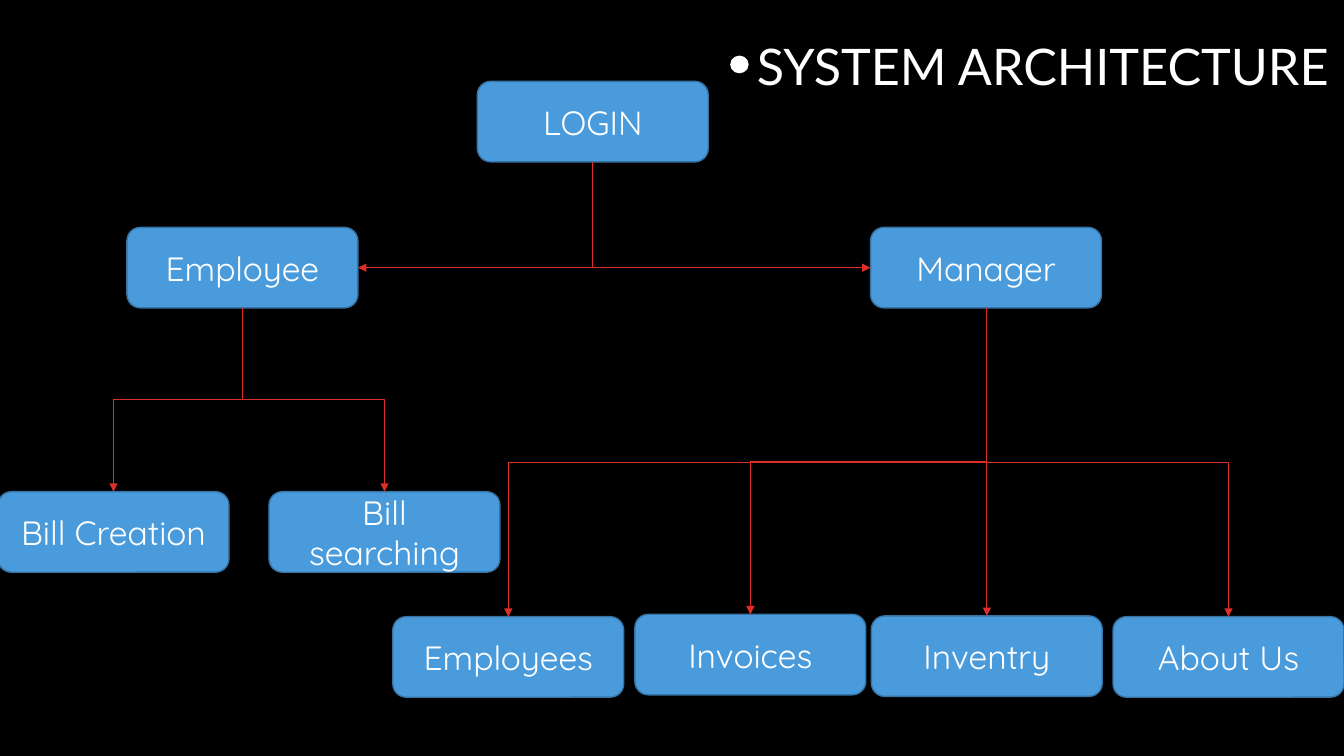
from pptx import Presentation
from pptx.dml.color import RGBColor
from pptx.enum.shapes import MSO_CONNECTOR, MSO_SHAPE
from pptx.enum.text import MSO_ANCHOR, MSO_AUTO_SIZE, PP_ALIGN
from pptx.oxml.ns import qn
from pptx.util import Cm, Pt
from lxml import etree

ELBOW = MSO_CONNECTOR.ELBOW
ROUND_RECT, OVAL = MSO_SHAPE.ROUNDED_RECTANGLE, MSO_SHAPE.OVAL
MIDDLE, TOP = MSO_ANCHOR.MIDDLE, MSO_ANCHOR.TOP
CENTER, LEFT = PP_ALIGN.CENTER, PP_ALIGN.LEFT
NO_FIT = MSO_AUTO_SIZE.NONE
SIDE_TOP, SIDE_LEFT, SIDE_BOTTOM, SIDE_RIGHT = range(4)

BLACK, WHITE, BLUE, NAVY, RED = "000000", "FFFFFF", "4A9BDC", "3773A3", "DF2E28"
NODE_W, NODE_H = 5.82, 2.03
NODE_FONT = {"name": "Quicksand", "size": Pt(24)}
TITLE_FONT = {"name": "Lato", "size": Pt(36), "bold": False}

# name: (left, top) in cm, inside the tree's box
NODES = {
    "LOGIN": (12.03, 0),
    "Employee": (3.2, 3.68),
    "Manager": (21.94, 3.68),
    "Bill Creation": (-0.05, 10.34),
    "Bill searching": (6.78, 10.34),
    "Employees": (9.9, 13.49),
    "Invoices": (16, 13.43),
    "Inventry": (21.96, 13.47),
    "About Us": (28.05, 13.49),
}
# (parent, child, side of the child that the arrow reaches)
LINKS = [
    ("LOGIN", "Employee", SIDE_RIGHT),
    ("LOGIN", "Manager", SIDE_LEFT),
    ("Manager", "About Us", SIDE_TOP),
    ("Manager", "Invoices", SIDE_TOP),
    ("Manager", "Employees", SIDE_TOP),
    ("Employee", "Bill Creation", SIDE_TOP),
    ("Employee", "Bill searching", SIDE_TOP),
    ("Manager", "Inventry", SIDE_TOP),
]


def rgb(color):
    return RGBColor.from_string(color)


def write(tf, text, font, align, anchor):
    tf.word_wrap, tf.vertical_anchor = True, anchor
    p = tf.paragraphs[0]
    p.alignment = align
    r = p.add_run()
    r.text = text
    for key, value in font.items():
        setattr(r.font, key, value)
    r.font.color.rgb = rgb(WHITE)


def add_filled(s, kind, box, fill, line):
    sp = s.shapes.add_shape(kind, *(Cm(v) for v in box))
    sp.shadow.inherit = False
    sp.fill.solid()
    sp.fill.fore_color.rgb = rgb(fill)
    sp.line.color.rgb = rgb(line)
    sp.line.width = Pt(1)
    return sp


def add_link(s, parent, child, side):
    """Elbow arrow that leaves the parent's bottom vertically."""
    cxn = s.shapes.add_connector(ELBOW, 0, 0, 0, 0)
    cxn.begin_connect(parent, SIDE_BOTTOM)
    cxn.end_connect(child, side)
    x1, y1, x2, y2 = cxn.begin_x, cxn.begin_y, cxn.end_x, cxn.end_y
    drop, reach = y2 - y1, abs(x2 - x1)
    # Turn the elbow about its centre so that it starts downwards
    cxn.left, cxn.top = (x1 + x2 - drop) // 2, (y1 + y2 - reach) // 2
    cxn.width, cxn.height = drop, reach
    spPr = cxn._element.spPr
    xfrm = spPr.find(qn("a:xfrm"))
    for key in ("flipH", "flipV"):
        xfrm.attrib.pop(key, None)
    xfrm.set("rot", "5400000" if x2 < x1 else "16200000")
    if x2 >= x1:
        xfrm.set("flipH", "1")
    if side != SIDE_TOP:
        spPr.find(qn("a:prstGeom")).set("prst", "bentConnector2")
    # Line, arrowhead, no shadow
    cxn.line.color.rgb = rgb(RED)
    cxn.line.width = Pt(0.75)
    etree.SubElement(spPr.find(qn("a:ln")), qn("a:tailEnd"), type="triangle")
    etree.SubElement(spPr, qn("a:effectLst"))


def draw_title(s, left, top, width, height):
    title = s.shapes.title
    title.left, title.top = Cm(left + 0.4), Cm(top)
    title.width, title.height = Cm(width - 0.4), Cm(height)
    title.text_frame.auto_size = NO_FIT
    write(title.text_frame, "SYSTEM ARCHITECTURE", TITLE_FONT, LEFT, TOP)
    # Dot before the title
    add_filled(s, OVAL, (left, top + 0.66, 0.43, 0.41), WHITE, WHITE)


def draw_tree(s, left, top):
    nodes = {}
    for name, (x, y) in NODES.items():
        sp = add_filled(s, ROUND_RECT, (left + x, top + y, NODE_W, NODE_H), BLUE, NAVY)
        write(sp.text_frame, name, NODE_FONT, CENTER, MIDDLE)
        nodes[name] = sp
    for parent, child, side in LINKS:
        add_link(s, nodes[parent], nodes[child], side)


def main():
    prs = Presentation()
    prs.slide_width, prs.slide_height = Cm(33.87), Cm(19.05)
    s = prs.slides.add_slide(prs.slide_layouts[5])
    s.background.fill.solid()
    s.background.fill.fore_color.rgb = rgb(BLACK)
    draw_tree(s, 0, 2.05)
    draw_title(s, 18.42, 0.76, 16.2, 1.8)
    prs.save("out.pptx")


if __name__ == "__main__":
    main()
